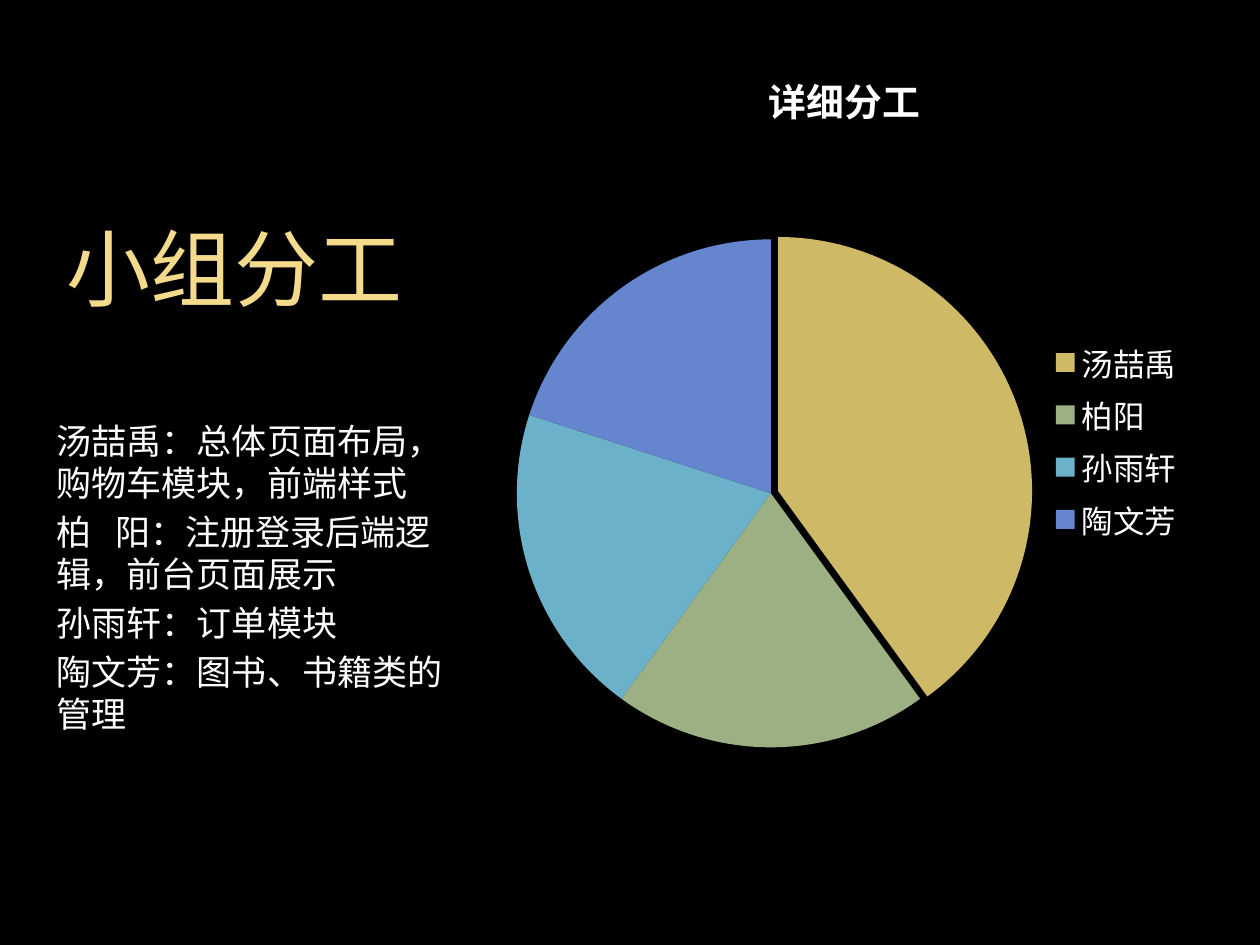
import pptx
import pptx.util
import pptx.chart.data
import pptx.dml.color
import pptx.enum.chart
import pptx.enum.text
import pptx.oxml
from pptx.util import Inches

BLACK = pptx.dml.color.RGBColor(0x00, 0x00, 0x00)
WHITE = pptx.dml.color.RGBColor(0xFF, 0xFF, 0xFF)
CREAM = pptx.dml.color.RGBColor(0xF4, 0xDB, 0x8C)
GOLD = pptx.dml.color.RGBColor(0xCE, 0xB9, 0x66)
SAGE = pptx.dml.color.RGBColor(0x9C, 0xB0, 0x84)
TEAL = pptx.dml.color.RGBColor(0x6B, 0xB1, 0xC9)
BLUE = pptx.dml.color.RGBColor(0x65, 0x85, 0xCF)

TITLE_FONT = "Open Sans"
BODY_FONT = "Vollkorn"
CHART_TITLE = "详细分工"
DUTIES = [
    "汤喆禹：总体页面布局，购物车模块，前端样式",
    "柏   阳：注册登录后端逻辑，前台页面展示",
    "孙雨轩：订单模块",
    "陶文芳：图书、书籍类的管理",
]
SHARES = [
    ("汤喆禹", 40, GOLD),
    ("柏阳", 20, SAGE),
    ("孙雨轩", 20, TEAL),
    ("陶文芳", 20, BLUE),
]


def style_font(font, name, size, color, bold=False):
    font.name = name
    font.size = pptx.util.Pt(size)
    font.color.rgb = color
    font.bold = bold


def place(box, left, top, width, height, anchor):
    box.left, box.top = Inches(left), Inches(top)
    box.width, box.height = Inches(width), Inches(height)
    frame = box.text_frame
    frame.word_wrap = True
    frame.auto_size = pptx.enum.text.MSO_AUTO_SIZE.NONE
    frame.vertical_anchor = anchor
    return frame


def add_span(para, text, font, size, color):
    para.alignment = pptx.enum.text.PP_ALIGN.LEFT
    span = para.add_run()
    span.text = text
    style_font(span.font, font, size, color)


def fill_title(box):
    frame = place(box, 0.43, 1.78, 3.29, 0.79, pptx.enum.text.MSO_ANCHOR.BOTTOM)
    add_span(frame.paragraphs[0], "小组分工", TITLE_FONT, 48, CREAM)


def fill_duties(box):
    frame = place(box, 0.35, 3.28, 3.29, 2.99, pptx.enum.text.MSO_ANCHOR.TOP)
    for index, duty in enumerate(DUTIES):
        para = frame.add_paragraph() if index else frame.paragraphs[0]
        add_span(para, duty, BODY_FONT, 20, WHITE)
        para.space_before = pptx.util.Pt(4)
        properties = para._p.get_or_add_pPr()
        properties.set("marL", "0")
        properties.set("indent", "0")
        bullet = pptx.oxml.parse_xml(
            '<a:buNone xmlns:a="http://schemas.openxmlformats.org/drawingml/2006/main"/>'
        )
        properties.append(bullet)


def set_plot_layout(chart, x, y, width, height):
    area = chart._chartSpace.chart.plotArea
    for old in area.findall(pptx.oxml.ns.qn("c:layout")):
        area.remove(old)
    sizes = {"x": x, "y": y, "w": width, "h": height}
    values = "".join(f'<c:{key} val="{value}"/>' for key, value in sizes.items())
    area.insert(0, pptx.oxml.parse_xml(
        '<c:layout xmlns:c="http://schemas.openxmlformats.org/drawingml/2006/chart">'
        '<c:manualLayout><c:layoutTarget val="inner"/>'
        '<c:xMode val="edge"/><c:yMode val="edge"/>'
        f"{values}</c:manualLayout></c:layout>"
    ))


def explode_slice(point, percent):
    element = point.format.fill._xPr.getparent()
    explosion = pptx.oxml.parse_xml(
        '<c:explosion xmlns:c="http://schemas.openxmlformats.org/drawingml/2006/chart" '
        f'val="{percent}"/>'
    )
    element.find(pptx.oxml.ns.qn("c:spPr")).addprevious(explosion)


def add_share_pie(page):
    data = pptx.chart.data.CategoryChartData()
    data.categories = [name for name, _, _ in SHARES]
    data.add_series(CHART_TITLE, [share for _, share, _ in SHARES])
    chart = page.shapes.add_chart(
        pptx.enum.chart.XL_CHART_TYPE.PIE,
        Inches(3.91), Inches(0.3), Inches(5.59), Inches(6.4), data,
    ).chart
    style_font(chart.font, BODY_FONT, 18, WHITE)

    chart.has_title = True
    span = chart.chart_title.text_frame.paragraphs[0].add_run()
    span.text = CHART_TITLE
    style_font(span.font, BODY_FONT, 21.6, WHITE, bold=True)
    chart.chart_title.include_in_layout = False

    chart.has_legend = True
    chart.legend.position = pptx.enum.chart.XL_LEGEND_POSITION.RIGHT
    chart.legend.include_in_layout = False

    plot = chart.plots[0]
    plot.vary_by_categories = True
    for index, (_, _, color) in enumerate(SHARES):
        fill = plot.series[0].points[index].format.fill
        fill.solid()
        fill.fore_color.rgb = color
    explode_slice(plot.series[0].points[0], 3)
    set_plot_layout(chart, 0.03, 0.25, 0.73, 0.63)


def main():
    deck = pptx.Presentation()
    deck.slide_width, deck.slide_height = Inches(10), Inches(7.5)
    page = deck.slides.add_slide(deck.slide_layouts[1])
    page.background.fill.solid()
    page.background.fill.fore_color.rgb = BLACK
    fill_title(page.shapes.title)
    fill_duties(page.placeholders[1])
    add_share_pie(page)
    deck.save("out.pptx")


if __name__ == "__main__":
    main()
